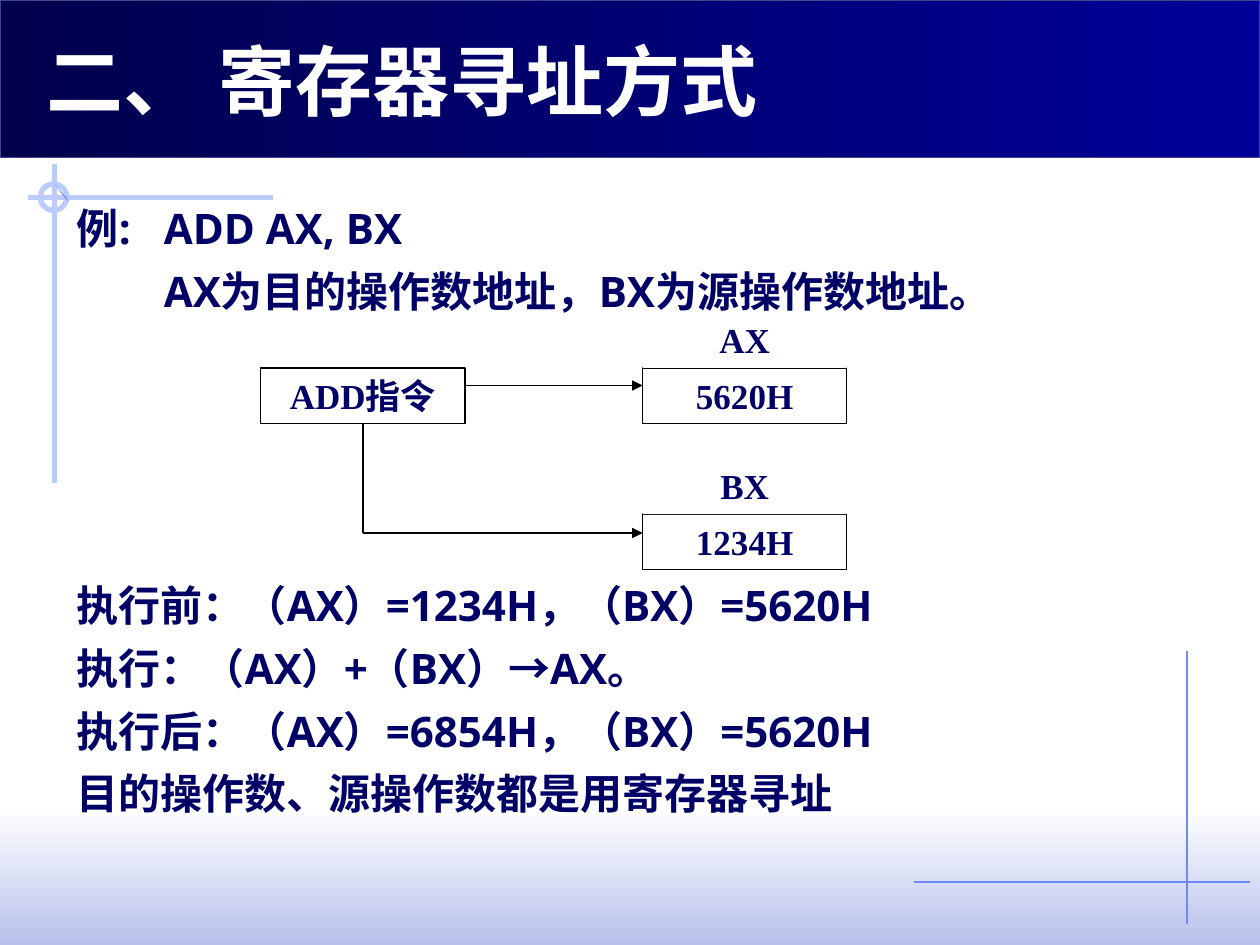
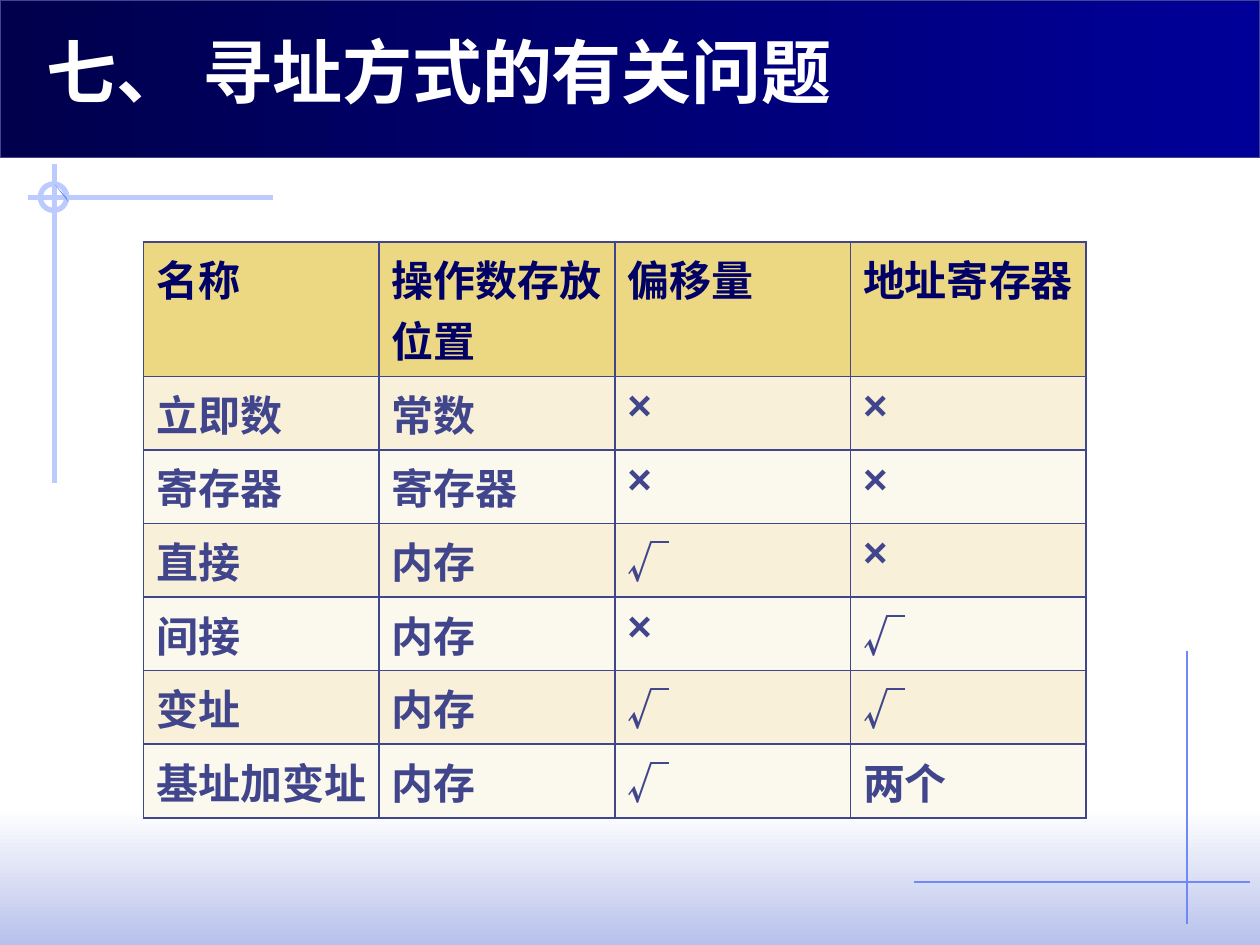
"""Build two slides on register addressing and addressing modes."""
from typing import NamedTuple

from lxml import etree
from pptx import Presentation
from pptx.dml.color import RGBColor
from pptx.enum import shapes as kinds, text as txt
from pptx.oxml import ns
from pptx.util import Inches, Pt

WHITE = RGBColor(0xFF, 0xFF, 0xFF)
BLACK = RGBColor(0, 0, 0)
NAVY = RGBColor(0, 0, 0x66)
DARK = RGBColor(0, 0, 0x4D)
BLUE = RGBColor(0, 0, 0x99)
SLATE = RGBColor(0x40, 0x45, 0x8C)
MIST = RGBColor(0xB7, 0xC1, 0xEB)
PALE = RGBColor(0xBB, 0xCB, 0xFD)
SKY = RGBColor(0x6F, 0x89, 0xF7)
GOLD = RGBColor(0xEC, 0xD8, 0x82)
SAND = RGBColor(0xF8, 0xF0, 0xD8)
CREAM = RGBColor(0xFB, 0xF8, 0xED)

SANS = "Noto Sans"
HAN = "Noto Sans CJK SC"
HEAD = "Noto Sans CJK JP"
SERIF = "Times New Roman"
HANG = Inches(0.69)
BOX_W, BOX_H = 1.62, 0.44


class Line(NamedTuple):
    x1: float
    y1: float
    x2: float
    y2: float
    color: RGBColor
    width: float = 0.75
    arrow: bool = False


class Box(NamedTuple):
    x: float
    y: float
    words: str
    framed: bool = True


class Band(NamedTuple):
    y: float
    height: float
    first: RGBColor
    last: RGBColor
    angle: int


BANDS = (Band(6.42, 1.08, WHITE, MIST, 270), Band(0, 1.25, DARK, BLUE, 0))
RULES = (
    Line(9.42, 5.17, 9.42, 7.33, SKY),
    Line(7.25, 7, 9.92, 7, SKY),
    Line(2.17, 1.57, 0.22, 1.57, PALE, 3),
    Line(0.43, 1.3, 0.43, 3.83, PALE, 3),
)
BOXES = (
    Box(2.07, 2.92, "ADD指令"),
    Box(5.1, 4.08, "1234H"),
    Box(5.1, 2.92, "5620H"),
    Box(5.1, 3.64, "BX", False),
    Box(5.1, 2.48, "AX", False),
)
LINKS = (
    Line(3.69, 3.06, 5.1, 3.06, BLACK, arrow=True),
    Line(2.88, 3.36, 2.88, 4.23, BLACK),
    Line(2.88, 4.23, 5.1, 4.23, BLACK, arrow=True),
)
STEPS = (
    "例:\tADD AX, BX",
    "AX为目的操作数地址，BX为源操作数地址。",
    "执行前：（AX）=1234H，（BX）=5620H",
    "执行：（AX）+（BX）→AX。",
    "执行后：（AX）=6854H，（BX）=5620H",
    "目的操作数、源操作数都是用寄存器寻址",
)
MODES = (
    ("名称", "操作数存放位置", "偏移量", "地址寄存器"),
    ("立即数", "常数", "×", "×"),
    ("寄存器", "寄存器", "×", "×"),
    ("直接", "内存", "√", "×"),
    ("间接", "内存", "×", "√"),
    ("变址", "内存", "√", "√"),
    ("基址加变址", "内存", "√", "两个"),
)


def style(para, size: float, color: RGBColor, font: str, han: str = HAN) -> None:
    """Format every run of a paragraph as bold text."""
    for run in para.runs:
        run.font.size, run.font.bold = Pt(size), True
        run.font.color.rgb = color
        run.font.name = font
        etree.SubElement(run.font._element, ns.qn("a:ea"), typeface=han)


def place(shape, x: float, y: float, width: float, height: float) -> None:
    """Move and size a shape in inches."""
    shape.left, shape.top = Inches(x), Inches(y)
    shape.width, shape.height = Inches(width), Inches(height)


def draw_line(slide, line: Line) -> None:
    """Draw a straight line, with an arrowhead if asked."""
    ends = [Inches(v) for v in line[:4]]
    link = slide.shapes.add_connector(kinds.MSO_CONNECTOR.STRAIGHT, *ends)
    link.line.color.rgb, link.line.width = line.color, Pt(line.width)
    if line.arrow:
        etree.SubElement(link.line._get_or_add_ln(), ns.qn("a:tailEnd"), type="triangle")
    etree.SubElement(link.element.spPr, ns.qn("a:effectLst"))


def add_form(slide, kind, x: float, y: float, width: float, height: float):
    """Add a preset shape without shadow."""
    form = slide.shapes.add_shape(kind, *map(Inches, (x, y, width, height)))
    form.shadow.inherit = False
    return form


def draw_band(slide, band: Band) -> None:
    """Draw a gradient band across the slide."""
    form = add_form(slide, kinds.MSO_SHAPE.RECTANGLE, 0, band.y, 10, band.height)
    form.fill.gradient()
    form.fill.gradient_angle = band.angle
    for stop, color in zip(form.fill.gradient_stops, (band.first, band.last)):
        stop.color.rgb = color
    if band.y:
        form.line.fill.background()
    else:
        form.line.color.rgb, form.line.width = SLATE, Pt(0.75)


def draw_ring(slide) -> None:
    """Draw the ring and its wedge where the two pale rules cross."""
    ring = add_form(slide, kinds.MSO_SHAPE.OVAL, 0.32, 1.46, 0.21, 0.21)
    ring.fill.background()
    ring.line.color.rgb, ring.line.width = PALE, Pt(3)
    path = slide.shapes.build_freeform(Inches(0.43), Inches(1.46))
    path.add_line_segments([(Inches(0.53), Inches(1.57)), (Inches(0.54), Inches(1.6))])
    wedge = path.convert_to_shape()
    wedge.shadow.inherit = False
    wedge.fill.solid()
    wedge.fill.fore_color.rgb = SKY
    wedge.line.fill.background()


def dress_master(deck, slide) -> None:
    """Draw the shared decoration and move it to the slide master."""
    for band in BANDS:
        draw_band(slide, band)
    for rule in RULES:
        draw_line(slide, rule)
    draw_ring(slide)
    tree = deck.slide_master.shapes.element
    marks = [s for s in slide.shapes if not s.is_placeholder]
    for num, mark in enumerate(marks, 100):
        mark.element.xpath("./*[1]/p:cNvPr")[0].set("id", str(num))
        tree.append(mark.element)


def set_title(slide, words: str, y: float, width: float, size: float, anchor) -> None:
    """Fill the title placeholder."""
    title = slide.shapes.title
    place(title, 0.27, y, width, 0.72)
    frame = title.text_frame
    frame.text = words
    frame.auto_size = txt.MSO_AUTO_SIZE.NONE
    frame.word_wrap, frame.vertical_anchor = True, anchor
    frame.margin_top = frame.margin_bottom = 0
    frame.paragraphs[0].alignment = txt.PP_ALIGN.LEFT
    style(frame.paragraphs[0], size, WHITE, HEAD, HEAD)


def set_steps(slide) -> None:
    """Fill the body placeholder, leaving room for the diagram."""
    body = slide.placeholders[1]
    place(body, 0.51, 1.55, 8.9, 5.18)
    frame = body.text_frame
    frame.text = "\n".join(STEPS)
    frame.auto_size = txt.MSO_AUTO_SIZE.NONE
    frame.word_wrap, frame.vertical_anchor = True, txt.MSO_ANCHOR.TOP
    for row, para in enumerate(frame.paragraphs):
        para.line_spacing, para.space_before = Pt(29.4), Pt(0)
        para.space_after = Pt(150 if row == 1 else 6.5)
        props = para._p.get_or_add_pPr()
        props.set("marL", str(HANG if row < 2 else 0))
        props.set("indent", str(-HANG if row == 0 else 0))
        etree.SubElement(props, ns.qn("a:buNone"))
        style(para, 24, NAVY, SANS)


def draw_box(slide, box: Box) -> None:
    """Draw a register box or its label."""
    form = add_form(slide, kinds.MSO_SHAPE.RECTANGLE, box.x, box.y, BOX_W, BOX_H)
    form.fill.solid()
    form.fill.fore_color.rgb = WHITE
    if box.framed:
        form.line.color.rgb, form.line.width = BLACK, Pt(0.75)
    else:
        form.line.fill.background()
    frame = form.text_frame
    frame.text = box.words
    frame.vertical_anchor = txt.MSO_ANCHOR.TOP
    frame.paragraphs[0].alignment = txt.PP_ALIGN.CENTER
    style(frame.paragraphs[0], 20, NAVY, SERIF)


def edge_cell(cell) -> None:
    """Give a cell thin borders on all sides."""
    props = cell._tc.get_or_add_tcPr()
    for pos, side in enumerate("LRTB"):
        edge = etree.Element(ns.qn(f"a:ln{side}"), w=str(Pt(1)))
        fill = etree.SubElement(edge, ns.qn("a:solidFill"))
        etree.SubElement(fill, ns.qn("a:srgbClr"), val=str(SLATE))
        props.insert(pos, edge)


def draw_table(slide) -> None:
    """Draw the table of addressing modes."""
    spot = map(Inches, (1.14, 1.92, 7.48, 3.48))
    grid = slide.shapes.add_table(len(MODES), len(MODES[0]), *spot).table
    for row, words in enumerate(MODES):
        grid.rows[row].height = Inches(0.44 if row else 0.84)
        shade = (SAND if row % 2 else CREAM) if row else GOLD
        for col, word in enumerate(words):
            cell = grid.cell(row, col)
            cell.text = word
            cell.fill.solid()
            cell.fill.fore_color.rgb = shade
            edge_cell(cell)
            font = "Arial" if word == "×" else HAN
            style(cell.text_frame.paragraphs[0], 24, SLATE if row else NAVY, font, font)


def main() -> None:
    """Build and save the deck."""
    deck = Presentation()
    deck.slide_width, deck.slide_height = Inches(10), Inches(7.5)

    first = deck.slides.add_slide(deck.slide_layouts[1])
    dress_master(deck, first)
    set_title(first, "二、 寄存器寻址方式", 0.28, 7.41, 44, txt.MSO_ANCHOR.BOTTOM)
    set_steps(first)
    for box in BOXES:
        draw_box(first, box)
    for link in LINKS:
        draw_line(first, link)

    second = deck.slides.add_slide(deck.slide_layouts[5])
    set_title(second, "七、 寻址方式的有关问题", 0.2, 7.8, 40, txt.MSO_ANCHOR.MIDDLE)
    draw_table(second)
    deck.save("out.pptx")


if __name__ == "__main__":
    main()
